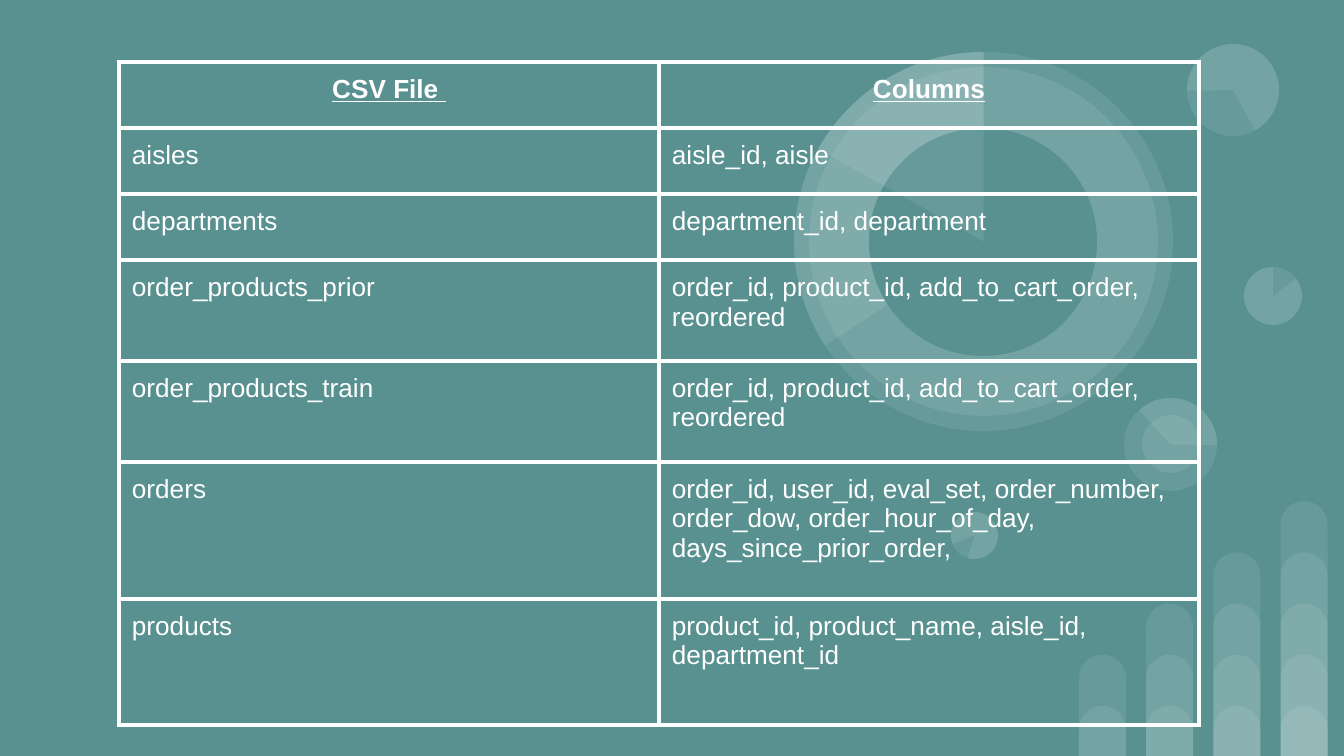
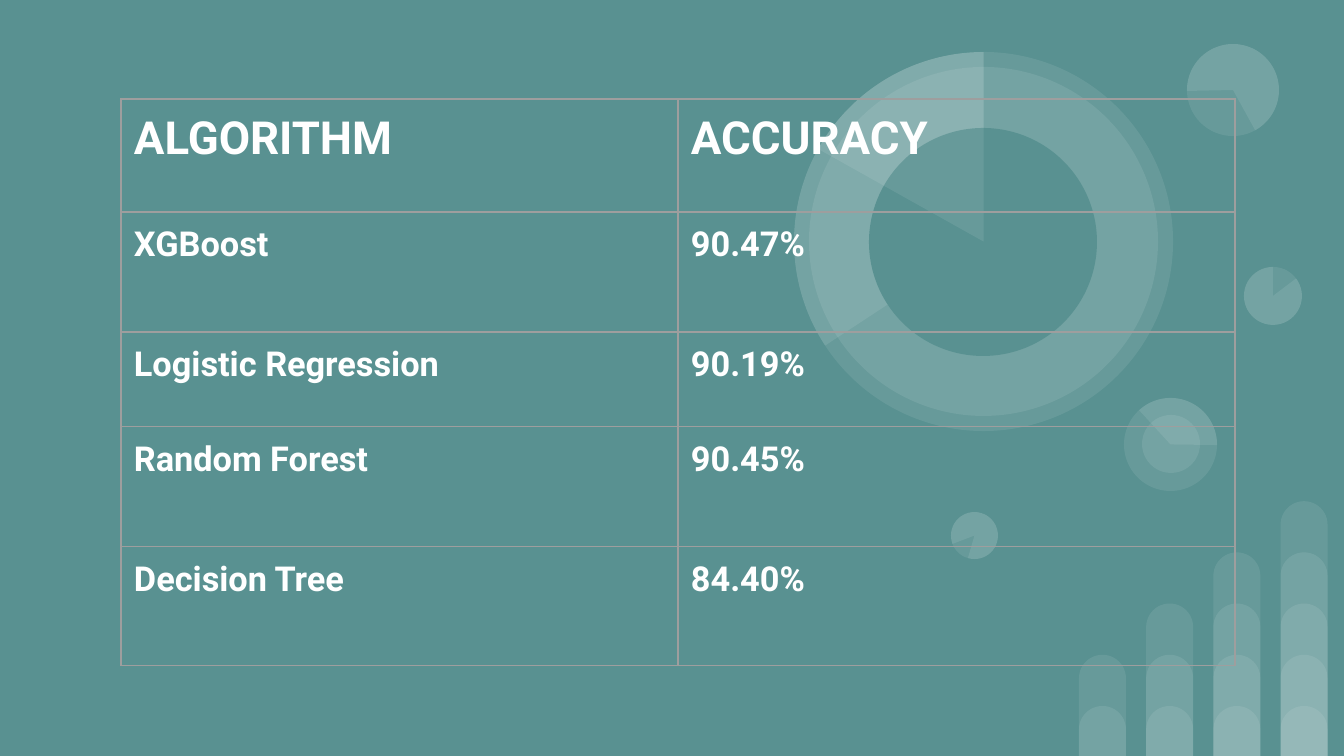
"""Build two table slides over a shared backdrop of translucent dials and bars."""
from lxml import etree
from pptx import Presentation
from pptx import util as u
from pptx.dml.color import RGBColor
from pptx.enum import shapes, text
from pptx.oxml.ns import qn

PX = 914400 / 134.4
WIDTH, HEIGHT = 1344, 756
TEAL, WHITE, GREY = "599191", "FFFFFF", "9E9E9E"
VEIL = 9
MARGIN = 13

BAR_COLUMNS = 4
BAR_LEFT, BAR_STEP, BAR_WIDTH = 1079, 67.2, 47
BAR_TOP, BAR_RISE = 706, 51.2

SMALL, TINY, DOUBLE, CORNER, LARGE = (
    (1244, 267, 58, 0),
    (951, 512, 47, 196.2),
    (1124, 398, 93, 90),
    (1187, 44, 92, 215.9),
    (794, 52, 379, 0),
)
DIALS = [
    (SMALL, None, WHITE),
    (SMALL, (322.95, 270), WHITE),
    (TINY, None, WHITE),
    (TINY, (322.95, 270), WHITE),
    (DOUBLE, None, WHITE),
    (DOUBLE, (137.41, 270.77), WHITE),
    ((1142, 415, 58, 90), None, WHITE),
    (CORNER, None, WHITE),
    (CORNER, (322.95, 205.23), WHITE),
    (LARGE, None, WHITE),
    ((809, 67, 349, 34.1), None, WHITE),
    (LARGE, (146.69, 270), WHITE),
    ((869, 128, 228, 34.1), None, TEAL),
    (LARGE, (209.24, 270), WHITE),
]

FILES = {
    "rows": [
        ("CSV File ", "Columns"),
        ("aisles", "aisle_id, aisle"),
        ("departments", "department_id, department"),
        ("order_products_prior", "order_id, product_id, add_to_cart_order, reordered"),
        ("order_products_train", "order_id, product_id, add_to_cart_order, reordered"),
        ("orders", "order_id, user_id, eval_set, order_number, order_dow, "
                   "order_hour_of_day, days_since_prior_order,"),
        ("products", "product_id, product_name, aisle_id, department_id"),
    ],
    "corner": (119, 62),
    "column": 540,
    "heights": [66, 66, 66, 101, 101, 137, 126],
    "border": (WHITE, 2.25),
    "font": "Arial",
    "header": {"size": 14, "bold": True, "underline": True, "align": text.PP_ALIGN.CENTER},
    "body": {"size": 14, "bold": False, "underline": False, "align": text.PP_ALIGN.LEFT},
}
ACCURACY = {
    "rows": [
        ("ALGORITHM", "ACCURACY"),
        ("XGBoost", "90.47%"),
        ("Logistic Regression", "90.19%"),
        ("Random Forest", "90.45%"),
        ("Decision Tree", "84.40%"),
    ],
    "corner": (121, 99),
    "column": 557,
    "heights": [113, 120, 95, 120, 119],
    "border": (GREY, 0.75),
    "font": "Roboto",
    "header": {"size": 24.4, "bold": True, "underline": False, "align": text.PP_ALIGN.LEFT},
    "body": {"size": 18.4, "bold": True, "underline": False, "align": text.PP_ALIGN.LEFT},
}


def px(length):
    return u.Emu(round(length * PX))


def paint(fill, color):
    fill.solid()
    fill.fore_color.rgb = RGBColor.from_string(color)


def add_figure(group, kind, left, top, width, height, color):
    shape = group.shapes.add_shape(kind, px(left), px(top), px(width), px(height))
    shape.shadow.inherit = False
    shape.line.fill.background()
    paint(shape.fill, color)
    if color == WHITE:
        tint = shape.element.spPr.find(".//" + qn("a:srgbClr"))
        etree.SubElement(tint, qn("a:alpha"), val=str(VEIL * 1000))
    return shape


def add_bars(group):
    for column in range(BAR_COLUMNS):
        for level in range(column + 2):
            top = BAR_TOP - level * BAR_RISE
            bar = add_figure(group, shapes.MSO_SHAPE.ROUND_2_SAME_RECTANGLE,
                             BAR_LEFT + column * BAR_STEP, top,
                             BAR_WIDTH, HEIGHT - top, WHITE)
            bar.adjustments[0] = 0.5
            bar.adjustments[1] = 0


def add_dials(group):
    for (left, top, size, rotation), angles, color in DIALS:
        kind = shapes.MSO_SHAPE.PIE if angles else shapes.MSO_SHAPE.OVAL
        dial = add_figure(group, kind, left, top, size, size, color)
        dial.rotation = rotation
        for index, angle in enumerate(angles or ()):
            dial.adjustments[index] = angle * 0.6


def decorate_layout(layout, slide):
    paint(layout.background.fill, TEAL)
    for placeholder in list(layout.placeholders):
        layout.shapes.element.remove(placeholder.element)
    for add_parts in (add_bars, add_dials):
        group = slide.shapes.add_group_shape()
        add_parts(group)
        layout.shapes.element.append(group.element)


def add_borders(frame, color, width):
    for cell in frame.element.iter(qn("a:tc")):
        properties = cell.get_or_add_tcPr()
        for index, side in enumerate(("a:lnL", "a:lnR", "a:lnT", "a:lnB")):
            line = etree.Element(qn(side), w=str(u.Pt(width)))
            fill = etree.SubElement(line, qn("a:solidFill"))
            etree.SubElement(fill, qn("a:srgbClr"), val=color)
            properties.insert(index, line)


def fill_cell(cell, words, font_name, style):
    cell.fill.background()
    cell.margin_left = cell.margin_right = px(MARGIN)
    cell.margin_top = cell.margin_bottom = px(MARGIN)
    cell.text = words
    paragraph = cell.text_frame.paragraphs[0]
    paragraph.alignment = style["align"]
    font = paragraph.font
    font.name = font_name
    font.size = u.Pt(style["size"])
    font.bold = style["bold"]
    font.underline = style["underline"]
    font.color.rgb = RGBColor.from_string(WHITE)


def add_grid(slide, content):
    rows, heights = content["rows"], content["heights"]
    columns = len(rows[0])
    left, top = content["corner"]
    frame = slide.shapes.add_table(len(rows), columns, px(left), px(top),
                                   px(columns * content["column"]), px(sum(heights)))
    table = frame.table
    table.first_row = table.horz_banding = False
    for column in table.columns:
        column.width = px(content["column"])
    for row_index, (row, height) in enumerate(zip(rows, heights)):
        table.rows[row_index].height = px(height)
        style = content["body"] if row_index else content["header"]
        for column_index, words in enumerate(row):
            fill_cell(table.cell(row_index, column_index), words, content["font"], style)
    add_borders(frame, *content["border"])


def main():
    presentation = Presentation()
    presentation.slide_width, presentation.slide_height = px(WIDTH), px(HEIGHT)
    layout = presentation.slide_layouts[6]
    slides = [presentation.slides.add_slide(layout) for _ in range(2)]
    decorate_layout(layout, slides[0])
    for slide, content in zip(slides, (FILES, ACCURACY)):
        add_grid(slide, content)
    presentation.save("out.pptx")


if __name__ == "__main__":
    main()
